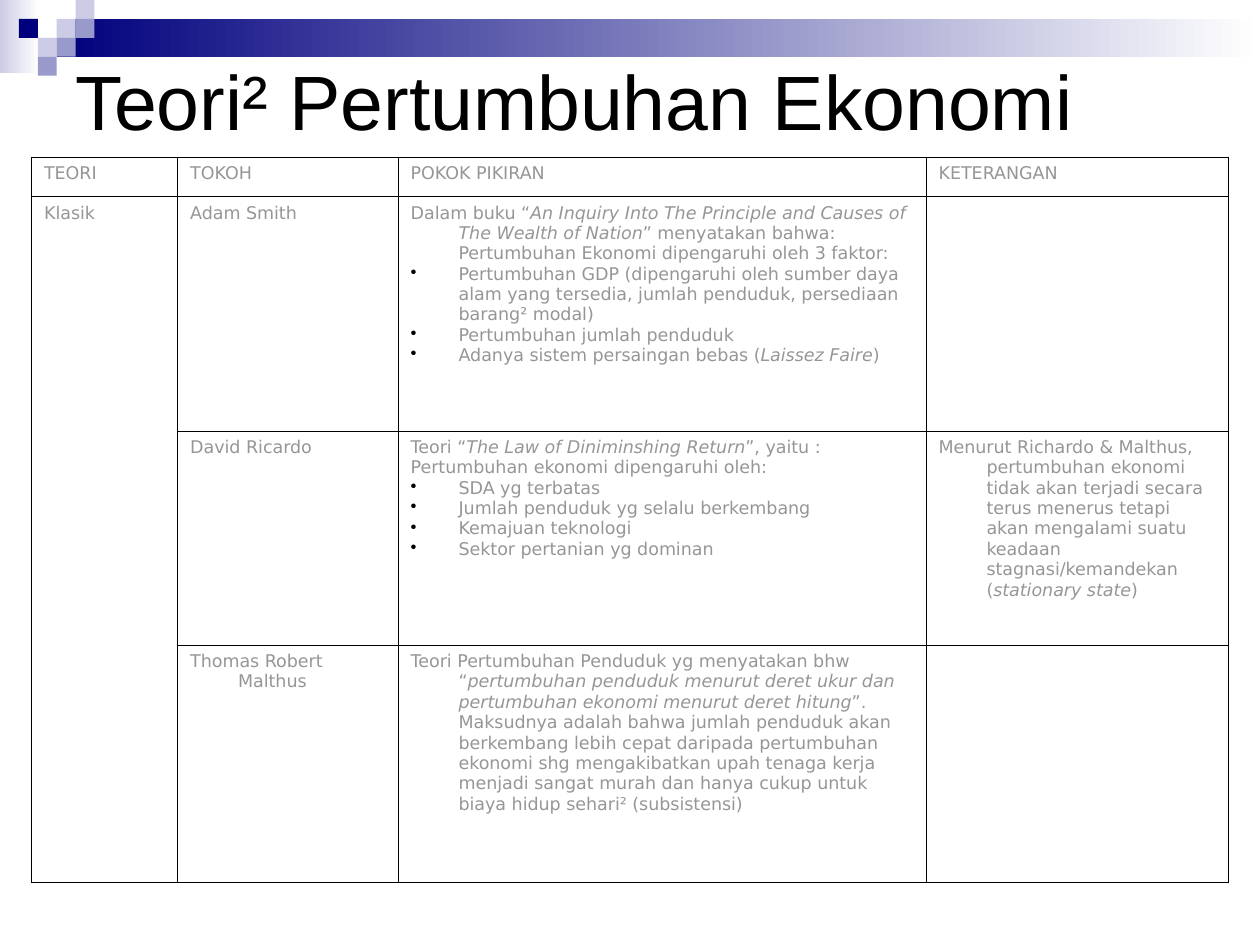
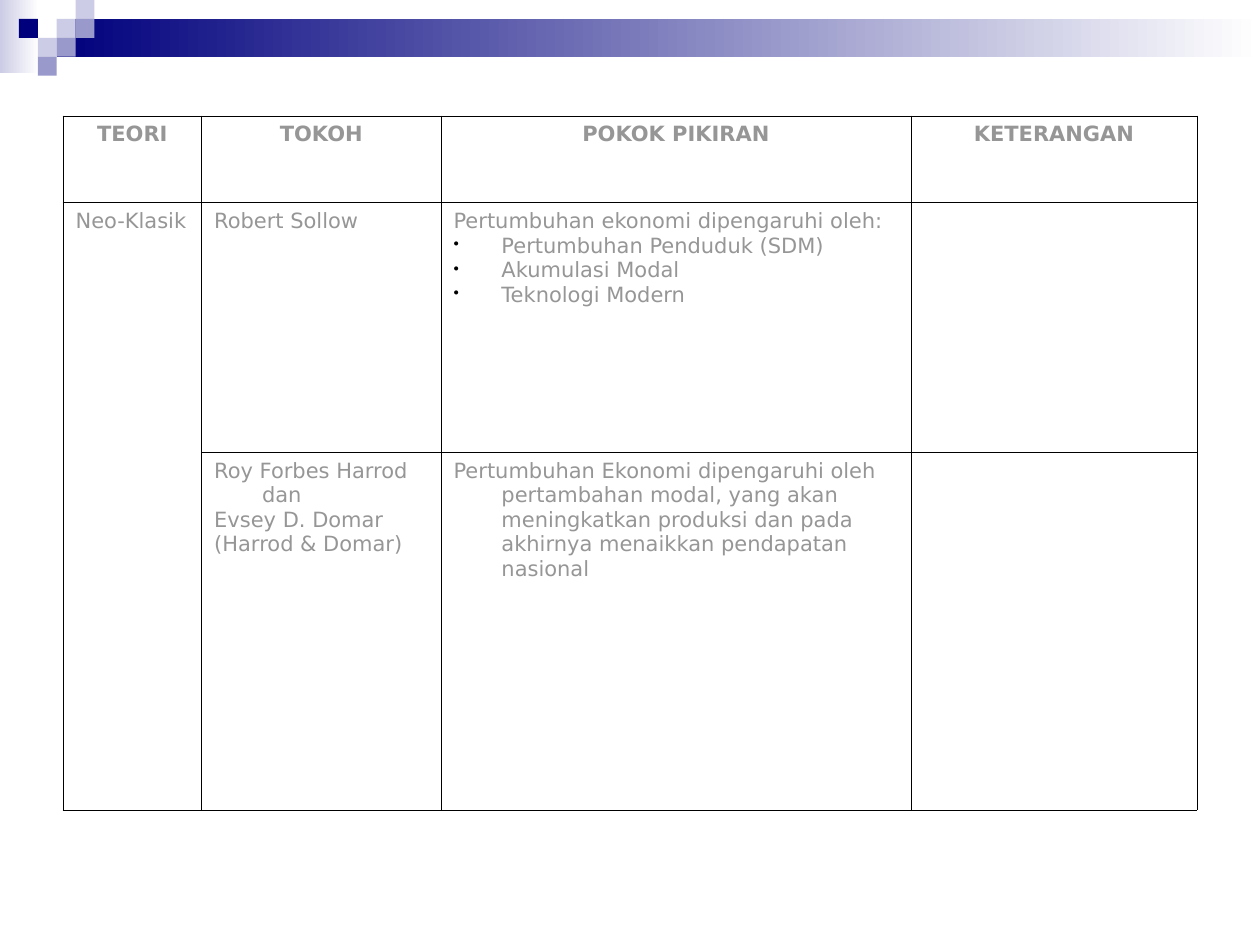
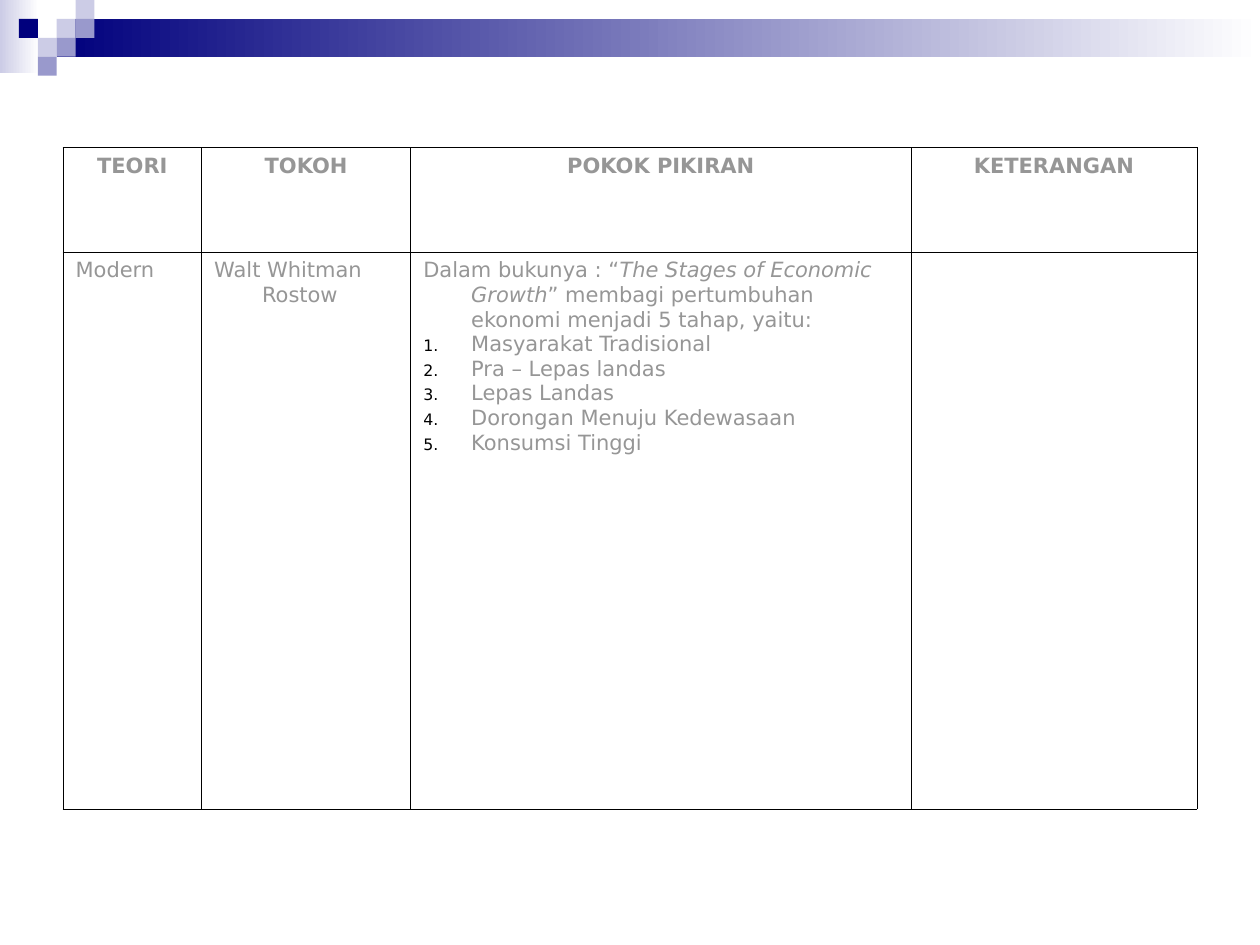
from dataclasses import dataclass

from lxml import etree
from pptx import Presentation
from pptx.dml.color import RGBColor
from pptx.enum.shapes import MSO_SHAPE
from pptx.enum.text import MSO_ANCHOR, MSO_AUTO_SIZE, PP_ALIGN
from pptx.oxml.ns import qn
from pptx.util import Inches, Pt

RECTANGLE = MSO_SHAPE.RECTANGLE
MIDDLE = MSO_ANCHOR.MIDDLE
NO_AUTOFIT = MSO_AUTO_SIZE.NONE
LEFT, CENTER = PP_ALIGN.LEFT, PP_ALIGN.CENTER
TITLE_ONLY, BLANK = 5, 6
BULLET, NUMBER = "bullet", "number"


@dataclass(frozen=True)
class Theme:
    navy: str = "00007D"
    lilac: str = "9999CC"
    pale: str = "CCCCE6"
    white: str = "FFFFFF"
    black: str = "000000"
    gray: str = "969696"
    title_font: str = "Arial"
    table_font: str = "DejaVu Sans"
    title_size: int = 44
    small_size: int = 10
    table_size: int = 12
    border_width: float = 0.45
    indent: float = 0.38
    square: float = 0.15


@dataclass(frozen=True)
class Item:
    """A list paragraph; asterisks in the text enclose italics."""
    text: str
    kind: str


def items(kind, *texts):
    return [Item(text, kind) for text in texts]


def add_element(parent, tag, **attributes):
    return etree.SubElement(parent, qn(tag), attributes)


class Deck:
    def __init__(self, theme):
        self.theme = theme
        self.presentation = Presentation()
        self.presentation.slide_width = Inches(10)
        self.presentation.slide_height = Inches(7.5)
        self.slide = None

    def add_slide(self, title=None):
        layout = self.presentation.slide_layouts[TITLE_ONLY if title else BLANK]
        self.slide = self.presentation.slides.add_slide(layout)
        self.add_band()
        if title:
            self.set_title(title)

    def add_rectangle(self, left, top, width, height, *colors):
        """One colour gives a solid fill, two a left-to-right gradient."""
        shape = self.slide.shapes.add_shape(
            RECTANGLE, Inches(left), Inches(top), Inches(width), Inches(height))
        shape.shadow.inherit = False
        shape.line.fill.background()
        if len(colors) == 1:
            shape.fill.solid()
            shape.fill.fore_color.rgb = RGBColor.from_string(colors[0])
        else:
            shape.fill.gradient()
            shape.fill.gradient_angle = 0
            for stop, color in zip(shape.fill.gradient_stops, colors):
                stop.color.rgb = RGBColor.from_string(color)

    def add_band(self):
        theme = self.theme
        self.add_rectangle(0, 0, 0.31, 0.58, theme.pale, theme.white)
        self.add_rectangle(0.45, 0.15, 9.55, 0.3, theme.navy, theme.white)
        squares = [(3, 1, theme.pale), (4, 0, theme.pale), (4, 1, theme.lilac),
                   (2, 2, theme.pale), (1, 1, theme.navy), (3, 2, theme.lilac),
                   (2, 3, theme.lilac)]
        for column, row, color in squares:
            self.add_rectangle(column * theme.square, row * theme.square,
                               theme.square, theme.square, color)

    def set_font(self, paragraph, name, size, color, bold=False):
        font = paragraph.font
        font.name, font.size, font.bold = name, Pt(size), bold
        font.color.rgb = RGBColor.from_string(color)

    def set_title(self, text):
        title = self.slide.shapes.title
        title.left, title.top = Inches(0.5), Inches(0.33)
        title.width, title.height = Inches(9.5), Inches(0.92)
        frame = title.text_frame
        frame.text = text
        frame.word_wrap = True
        frame.auto_size = NO_AUTOFIT
        frame.vertical_anchor = MIDDLE
        paragraph = frame.paragraphs[0]
        paragraph.alignment = LEFT
        self.set_font(paragraph, self.theme.title_font, self.theme.title_size,
                      self.theme.black)

    def set_list_style(self, paragraph, kind, marker_percent):
        properties = paragraph._p.get_or_add_pPr()
        properties.set("marL", str(Inches(self.theme.indent)))
        properties.set("indent", str(-Inches(self.theme.indent)))
        if kind is None:
            add_element(properties, "a:buNone")
            return
        color = add_element(properties, "a:buClr")
        add_element(color, "a:srgbClr", val=self.theme.black)
        add_element(properties, "a:buSzPct", val=str(marker_percent * 1000))
        if kind == BULLET:
            add_element(properties, "a:buChar", char="•")
        else:
            add_element(properties, "a:buAutoNum", type="arabicPeriod")

    def set_borders(self, cell):
        properties = cell._tc.get_or_add_tcPr()
        for side in ("a:lnL", "a:lnR", "a:lnT", "a:lnB"):
            line = add_element(properties, side, w=str(Pt(self.theme.border_width)))
            fill = add_element(line, "a:solidFill")
            add_element(fill, "a:srgbClr", val=self.theme.black)

    def fill_cell(self, cell, content, size, marker_percent, heading):
        entries = content if isinstance(content, list) else [content]
        for index, entry in enumerate(entries):
            frame = cell.text_frame
            paragraph = frame.add_paragraph() if index else frame.paragraphs[0]
            kind = entry.kind if isinstance(entry, Item) else None
            text = entry.text if isinstance(entry, Item) else entry
            self.set_list_style(paragraph, kind, marker_percent)
            paragraph.alignment = CENTER if heading else LEFT
            self.set_font(paragraph, self.theme.table_font, size,
                          self.theme.gray, heading)
            for part, piece in enumerate(text.split("*")):
                if piece:
                    run = paragraph.add_run()
                    run.text = piece
                    if part % 2:
                        run.font.italic = True

    def add_table(self, left, top, widths, heights, rows, size,
                  marker_percent=75, bold_header=True):
        table = self.slide.shapes.add_table(
            len(heights), len(widths), Inches(left), Inches(top),
            Inches(sum(widths)), Inches(sum(heights))).table
        table.first_row = table.horz_banding = False
        for column, width in zip(table.columns, widths):
            column.width = Inches(width)
        for row, height in zip(table.rows, heights):
            row.height = Inches(height)
        for row_index, contents in enumerate([HEADER] + rows):
            for column_index, content in enumerate(contents):
                cell = table.cell(row_index, column_index)
                self.set_borders(cell)
                cell.fill.background()
                if content:
                    self.fill_cell(cell, content, size, marker_percent,
                                   bold_header and row_index == 0)
        # The theory in the first column covers all of its thinkers
        if len(rows) > 1:
            table.cell(1, 0).merge(table.cell(len(rows), 0))


HEADER = ["TEORI", "TOKOH", "POKOK PIKIRAN", "KETERANGAN"]

CLASSICAL = [
    ["Klasik", "Adam Smith",
     ["Dalam buku “*An Inquiry Into The Principle and Causes of The Wealth of "
      "Nation*” menyatakan bahwa: Pertumbuhan Ekonomi dipengaruhi oleh 3 faktor:",
      *items(BULLET,
             "Pertumbuhan GDP (dipengaruhi oleh sumber daya alam yang tersedia, "
             "jumlah penduduk, persediaan barang² modal)",
             "Pertumbuhan jumlah penduduk",
             "Adanya sistem persaingan bebas (*Laissez Faire*)")], ""],
    ["", "David Ricardo",
     ["Teori “*The Law of Diniminshing Return*”, yaitu :",
      "Pertumbuhan ekonomi dipengaruhi oleh:",
      *items(BULLET, "SDA yg terbatas", "Jumlah penduduk yg selalu berkembang",
             "Kemajuan teknologi", "Sektor pertanian yg dominan")],
     "Menurut Richardo & Malthus, pertumbuhan ekonomi tidak akan terjadi secara "
     "terus menerus tetapi akan mengalami suatu keadaan stagnasi/kemandekan "
     "(*stationary state*)"],
    ["", "Thomas Robert Malthus",
     "Teori Pertumbuhan Penduduk yg menyatakan bhw “*pertumbuhan penduduk menurut "
     "deret ukur dan pertumbuhan ekonomi menurut deret hitung*”. Maksudnya adalah "
     "bahwa jumlah penduduk akan berkembang lebih cepat daripada pertumbuhan "
     "ekonomi shg mengakibatkan upah tenaga kerja menjadi sangat murah dan hanya "
     "cukup untuk biaya hidup sehari² (subsistensi)", ""],
]

NEOCLASSICAL = [
    ["Neo-Klasik", "Robert Sollow",
     ["Pertumbuhan ekonomi dipengaruhi oleh:",
      *items(BULLET, "Pertumbuhan Penduduk (SDM)", "Akumulasi Modal",
             "Teknologi Modern")], ""],
    ["", ["Roy Forbes Harrod dan", "Evsey D. Domar", "(Harrod & Domar)"],
     "Pertumbuhan Ekonomi dipengaruhi oleh pertambahan modal, yang akan "
     "meningkatkan produksi dan pada akhirnya menaikkan pendapatan nasional", ""],
]

MODERN = [
    ["Modern", "Walt Whitman Rostow",
     ["Dalam bukunya : “*The Stages of Economic Growth*” membagi pertumbuhan "
      "ekonomi menjadi 5 tahap, yaitu:",
      *items(NUMBER, "Masyarakat Tradisional", "Pra – Lepas landas",
             "Lepas Landas", "Dorongan Menuju Kedewasaan", "Konsumsi Tinggi")], ""],
]


def main():
    theme = Theme()
    deck = Deck(theme)

    # Classical theories
    deck.add_slide("Teori² Pertumbuhan Ekonomi")
    deck.add_table(0.25, 1.25, [1.16, 1.75, 4.19, 2.4], [0.31, 1.86, 1.7, 1.88],
                   CLASSICAL, theme.small_size, marker_percent=100,
                   bold_header=False)

    # Neoclassical theories
    deck.add_slide()
    deck.add_table(0.5, 0.92, [1.1, 1.9, 3.73, 2.27], [0.69, 1.98, 2.84],
                   NEOCLASSICAL, theme.table_size)

    # Modern theory
    deck.add_slide()
    deck.add_table(0.5, 1.17, [1.1, 1.66, 3.97, 2.27], [0.83, 4.42],
                   MODERN, theme.table_size)

    deck.presentation.save("out.pptx")


if __name__ == "__main__":
    main()
